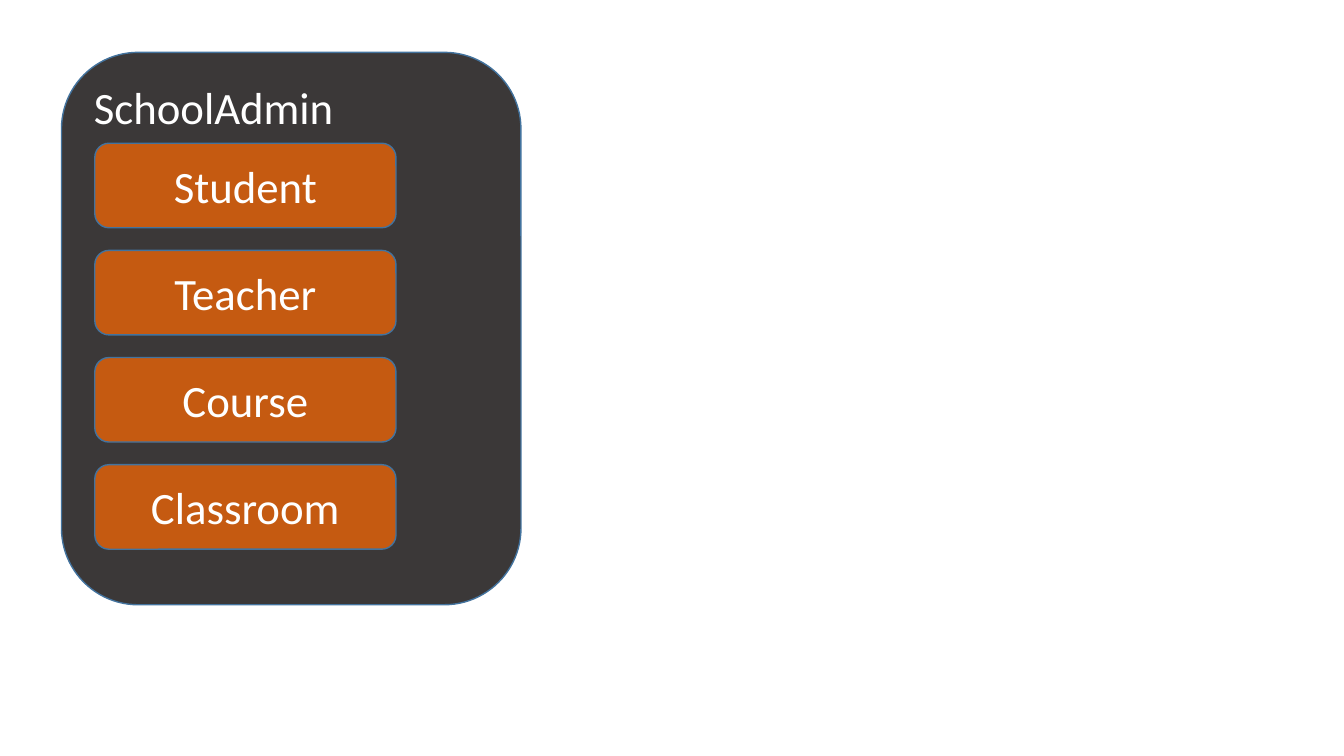
from dataclasses import dataclass

from pptx import Presentation
from pptx import util as u
from pptx.dml.color import RGBColor
from pptx.enum import shapes, text
from pptx.slide import Slide


@dataclass(frozen=True)
class Theme:
    panel: RGBColor = RGBColor(0x3B, 0x38, 0x38)
    entity: RGBColor = RGBColor(0xC5, 0x5A, 0x11)
    outline: RGBColor = RGBColor(0x43, 0x73, 0x9E)
    lettering: RGBColor = RGBColor(0xFF, 0xFF, 0xFF)
    font: str = "Calibri"
    size: u.Pt = u.Pt(32)
    outline_width: u.Pt = u.Pt(1)


@dataclass(frozen=True)
class Box:
    label: str
    left: float
    top: float
    width: float
    height: float
    fill: RGBColor
    align: text.PP_ALIGN = text.PP_ALIGN.CENTER
    anchor: text.MSO_ANCHOR = text.MSO_ANCHOR.MIDDLE


THEME = Theme()
ENTITIES = ("Student", "Teacher", "Course", "Classroom")
FIRST_ENTITY_TOP = 3.61
ENTITY_PITCH = 2.7


def draw_box(slide: Slide, box: Box) -> None:
    rounded = slide.shapes.add_shape(
        shapes.MSO_SHAPE.ROUNDED_RECTANGLE,
        u.Cm(box.left), u.Cm(box.top), u.Cm(box.width), u.Cm(box.height),
    )
    rounded.shadow.inherit = False
    rounded.fill.solid()
    rounded.fill.fore_color.rgb = box.fill
    rounded.line.color.rgb = THEME.outline
    rounded.line.width = THEME.outline_width

    frame = rounded.text_frame
    frame.text = box.label
    frame.word_wrap = True
    frame.vertical_anchor = box.anchor
    label = frame.paragraphs[0]
    label.alignment = box.align
    font = label.runs[0].font
    font.name = THEME.font
    font.size = THEME.size
    font.color.rgb = THEME.lettering


def main() -> None:
    deck = Presentation()
    deck.slide_width = u.Cm(33.87)
    deck.slide_height = u.Cm(19.05)
    slide = deck.slides.add_slide(deck.slide_layouts[6])

    school_admin = Box("SchoolAdmin", 1.55, 1.32, 11.58, 13.92, THEME.panel,
                       text.PP_ALIGN.LEFT, text.MSO_ANCHOR.TOP)
    draw_box(slide, school_admin)
    for row, entity in enumerate(ENTITIES):
        top = FIRST_ENTITY_TOP + row * ENTITY_PITCH
        draw_box(slide, Box(entity, 2.39, top, 7.59, 2.13, THEME.entity))

    deck.save("out.pptx")


if __name__ == "__main__":
    main()
